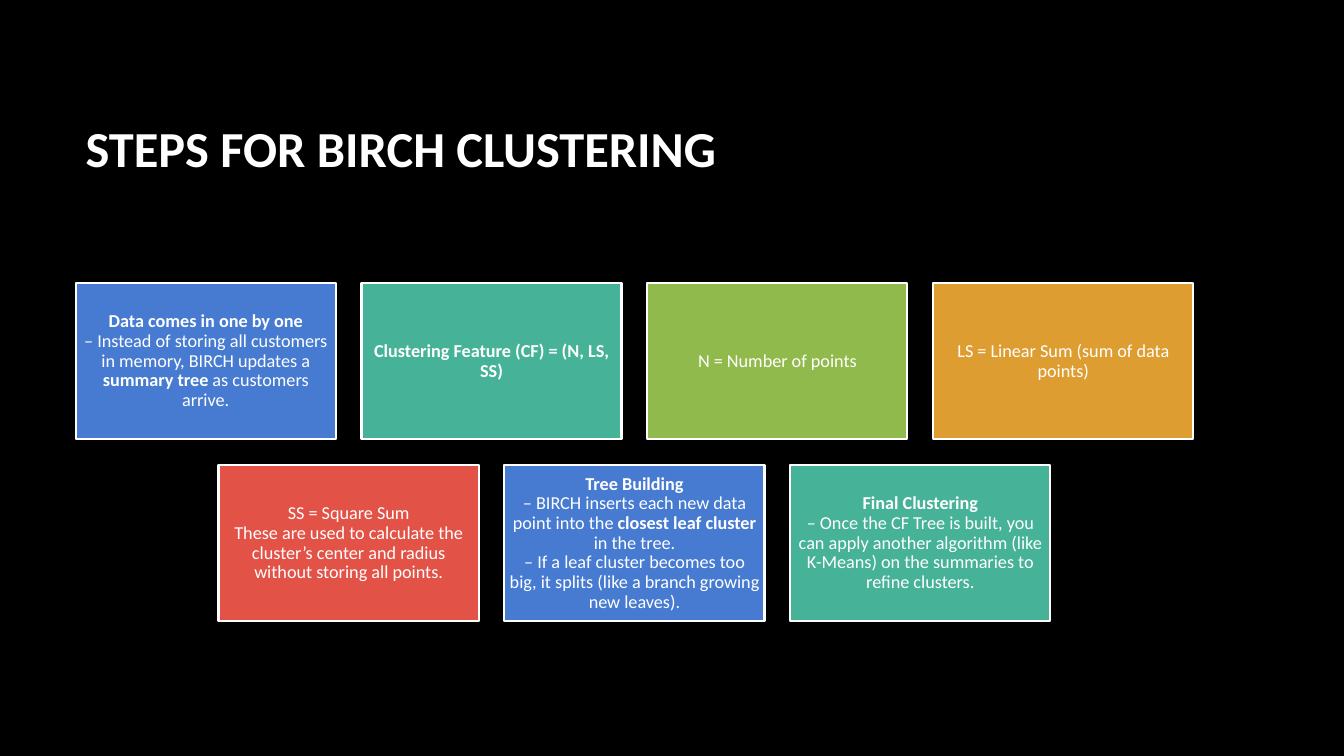
from lxml import etree
from pptx import Presentation, util as u
from pptx.dml.color import RGBColor
from pptx.enum import shapes, text
from pptx.oxml.ns import qn

HUES = {"back": "000000", "white": "FFFFFF", "blue": "477BD1", "teal": "46B298",
        "green": "90BA4C", "gold": "DD9D31", "red": "E25247"}
WIDE, HIGH = 13.33, 7.5
LEFT, TOP = 0.75, 2.81
BOX_W, BOX_H, GAP = 2.58, 1.55, 0.255
COLS = 4
STEPS = [
    ("blue", "**Data comes in one by one\n**– Instead of storing all customers in memory, "
             "BIRCH updates a **summary tree** as customers arrive."),
    ("teal", "**Clustering Feature (CF) = (N, LS, SS)**"),
    ("green", "N = Number of points"),
    ("gold", "LS = Linear Sum (sum of data points)"),
    ("red", "SS = Square Sum\nThese are used to calculate the cluster’s center and radius "
            "without storing all points."),
    ("blue", "**Tree Building\n**– BIRCH inserts each new data point into the "
             "**closest leaf cluster** in the tree.\n– If a leaf cluster becomes too big, "
             "it splits (like a branch growing new leaves)."),
    ("teal", "**Final Clustering\n**– Once the CF Tree is built, you can apply another "
             "algorithm (like K-Means) on the summaries to refine clusters."),
]


def hue(name):
    """Return the named colour."""
    return RGBColor.from_string(HUES[name])


def style(obj, **form):
    """Set each format value on an object."""
    for key, val in form.items():
        setattr(obj, key, val)


def write(frame, words, size, **form):
    """Write one paragraph, with ** around bold parts and a newline for each break."""
    style(frame, word_wrap=True, vertical_anchor=text.MSO_ANCHOR.MIDDLE)
    para = frame.paragraphs[0]
    style(para, **form)
    for i, part in enumerate(words.split("**")):
        for j, line in enumerate(part.split("\n")):
            if j:
                para.add_line_break()
                etree.SubElement(para._p[-1], qn("a:rPr"), sz=str(size * 100))
            if line:
                run = para.add_run()
                run.text = line
                style(run.font, name="Calibri", size=u.Pt(size), bold=i % 2 == 1)
                run.font.color.rgb = hue("white")


def title(slide, words):
    """Add the slide title."""
    area = (LEFT, 0.67, 11.08, 1.59)
    box = slide.shapes.add_textbox(*map(u.Inches, area))
    write(box.text_frame, f"**{words}**", 36)


def card(slide, x, y, fill, words):
    """Add one step as a filled box with centred text."""
    area = map(u.Inches, (x, y, BOX_W, BOX_H))
    box = slide.shapes.add_shape(shapes.MSO_SHAPE.RECTANGLE, *area)
    box.shadow.inherit = False
    box.fill.solid()
    box.fill.fore_color.rgb = hue(fill)
    box.line.color.rgb = hue("white")
    box.line.width = u.Pt(1.5)
    sides = ("left", "right", "top", "bottom")
    style(box.text_frame, **{f"margin_{s}": u.Inches(0.05) for s in sides})
    write(box.text_frame, words, 13, alignment=text.PP_ALIGN.CENTER, line_spacing=0.9)


def main():
    """Build the slide and save it."""
    deck = Presentation()
    style(deck, slide_width=u.Inches(WIDE), slide_height=u.Inches(HIGH))
    slide = deck.slides.add_slide(deck.slide_layouts[6])
    slide.background.fill.solid()
    slide.background.fill.fore_color.rgb = hue("back")
    title(slide, "STEPS FOR BIRCH CLUSTERING")
    for row, first in enumerate(range(0, len(STEPS), COLS)):
        group = STEPS[first:first + COLS]
        shift = (COLS - len(group)) / 2
        for col, (fill, words) in enumerate(group):
            x = LEFT + (col + shift) * (BOX_W + GAP)
            card(slide, x, TOP + row * (BOX_H + GAP), fill, words)
    deck.save("out.pptx")


if __name__ == "__main__":
    main()
